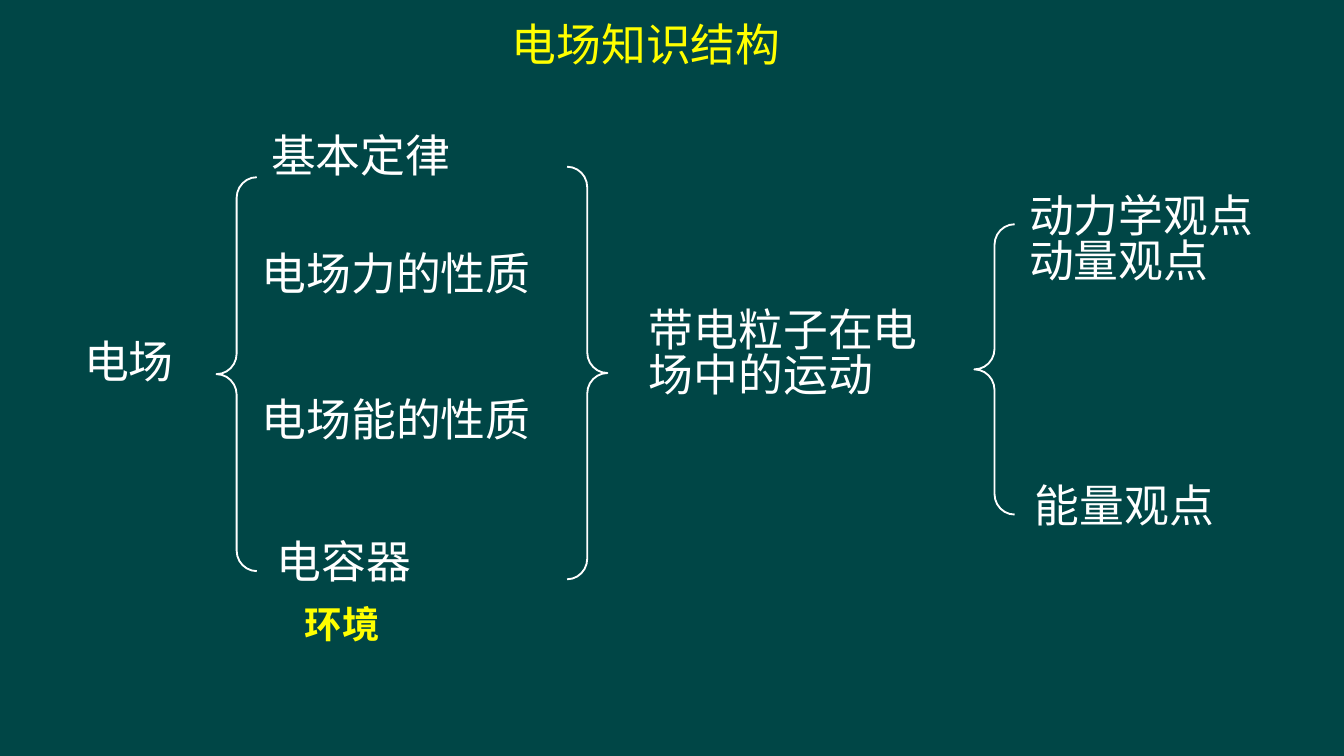
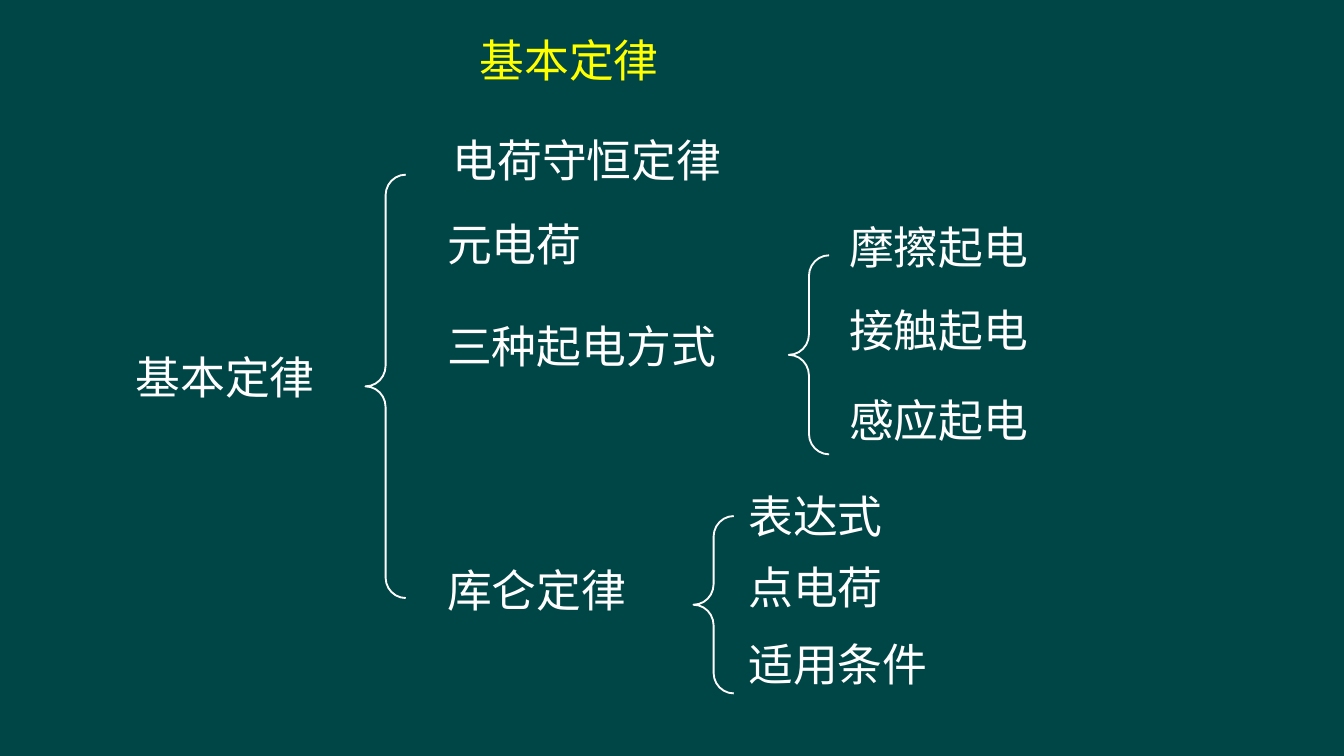
from dataclasses import dataclass

from lxml.etree import SubElement
from pptx import Presentation
from pptx.dml.color import RGBColor
from pptx.enum.shapes import MSO_SHAPE
from pptx.enum.text import MSO_AUTO_SIZE
from pptx.oxml.ns import qn
from pptx.slide import Slide
from pptx.util import Pt

BOARD = RGBColor(0x00, 0x46, 0x46)
CHALK = RGBColor(0xFF, 0xFF, 0xFF)
ACCENT = RGBColor(0xFF, 0xFF, 0x00)
FONT = "Noto Sans CJK SC"
BODY_SIZE = 24
LINE_SPACING = 0.84
LINE_PITCH = 1.21
INSETS = 7.2
BRACE_WIDTH = 21.6


@dataclass(frozen=True)
class Label:
    """Text of one or more paragraphs, placed in points."""

    text: str
    left: float
    top: float
    width: float
    lines: int = 1
    size: float = BODY_SIZE
    color: RGBColor = CHALK
    bold: bool | None = None


@dataclass(frozen=True)
class Brace:
    """Curly brace that opens to the right unless it closes a group."""

    left: float
    top: float
    height: float
    closing: bool = False


@dataclass(frozen=True)
class Outline:
    """Content of one slide."""

    title: Label
    labels: list[Label]
    braces: list[Brace]


def column(left: float, width: float, entries: dict[str, float]) -> list[Label]:
    """Return labels that share a left edge, from their texts and tops."""
    return [Label(text, left, top, width) for text, top in entries.items()]


FIELD_STRUCTURE = Outline(
    title=Label("电场知识结构", 267, 10, 323.3, color=ACCENT),
    labels=[
        Label("电场", 38, 180, 70.6),
        *column(133.2, 175.7, {"电场力的性质": 132.5, "电场能的性质": 211}),
        Label("基本定律", 138.2, 69.8, 147.6),
        Label("电容器", 141.1, 287.3, 175.7),
        Label("带电粒子在电场中的运动", 340.6, 162.7, 175.7, lines=2),
        Label("动力学观点\n动量观点", 544.3, 101.5, 175.7, lines=2),
        Label("能量观点", 547.2, 257, 175.7),
        Label("环境", 156.2, 322.6, 87.8, size=20, color=ACCENT, bold=True),
    ],
    braces=[
        Brace(116, 95, 211),
        Brace(303.8, 89.3, 221, closing=True),
        Brace(522, 120.2, 155.5),
    ],
)

BASIC_LAWS = Outline(
    title=Label("基本定律", 249.8, 18.7, 265, color=ACCENT),
    labels=[
        Label("基本定律", 65.5, 188.6, 118.8),
        Label("电荷守恒定律", 235.4, 72, 201.6),
        *column(232.5, 201.6, {"元电荷": 117.4, "三种起电方式": 172, "库仑定律": 302.4}),
        *column(447.8, 144, {"摩擦起电": 118.8, "接触起电": 163.4, "感应起电": 211.7}),
        *column(393.8, 155.5, {"表达式": 262.8, "点电荷": 301, "适用条件": 342}),
    ],
    braces=[
        Brace(195.8, 93.6, 226.8),
        Brace(422.6, 136.8, 106.6),
        Brace(371.5, 276.5, 95),
    ],
)


def draw_label(slide: Slide, label: Label) -> None:
    """Add a text box, with one paragraph for each line of the text."""
    height = label.lines * label.size * LINE_PITCH + INSETS
    box = slide.shapes.add_textbox(
        Pt(label.left), Pt(label.top), Pt(label.width), Pt(height)
    )
    frame = box.text_frame
    frame.word_wrap = True
    frame.auto_size = MSO_AUTO_SIZE.SHAPE_TO_FIT_TEXT
    for index, line in enumerate(label.text.split("\n")):
        paragraph = frame.add_paragraph() if index else frame.paragraphs[0]
        paragraph.line_spacing = LINE_SPACING
        run = paragraph.add_run()
        run.text = line
        run.font.size = Pt(label.size)
        run.font.bold = label.bold
        run.font.color.rgb = label.color
        run.font.name = FONT
        SubElement(run.font._element, qn("a:ea"), typeface=FONT)


def draw_brace(slide: Slide, brace: Brace) -> None:
    """Add an unfilled brace outline."""
    shape = slide.shapes.add_shape(
        MSO_SHAPE.LEFT_BRACE,
        Pt(brace.left), Pt(brace.top), Pt(BRACE_WIDTH), Pt(brace.height),
    )
    shape.adjustments[0] = 0.51
    shape.adjustments[1] = 0.5
    shape.rotation = 180 if brace.closing else 0
    shape.shadow.inherit = False
    shape.fill.background()
    shape.line.color.rgb = CHALK
    shape.line.width = Pt(1)


def draw_outline(slide: Slide, outline: Outline) -> None:
    """Draw the board, the title, the labels and the braces."""
    slide.background.fill.solid()
    slide.background.fill.fore_color.rgb = BOARD
    for label in outline.labels:
        draw_label(slide, label)
    for brace in outline.braces:
        draw_brace(slide, brace)
    draw_label(slide, outline.title)


def main() -> None:
    """Build both slides and save them."""
    presentation = Presentation()
    presentation.slide_width = Pt(720)
    presentation.slide_height = Pt(405)
    blank = presentation.slide_layouts[6]
    for outline in (FIELD_STRUCTURE, BASIC_LAWS):
        draw_outline(presentation.slides.add_slide(blank), outline)
    presentation.save("out.pptx")


if __name__ == "__main__":
    main()
